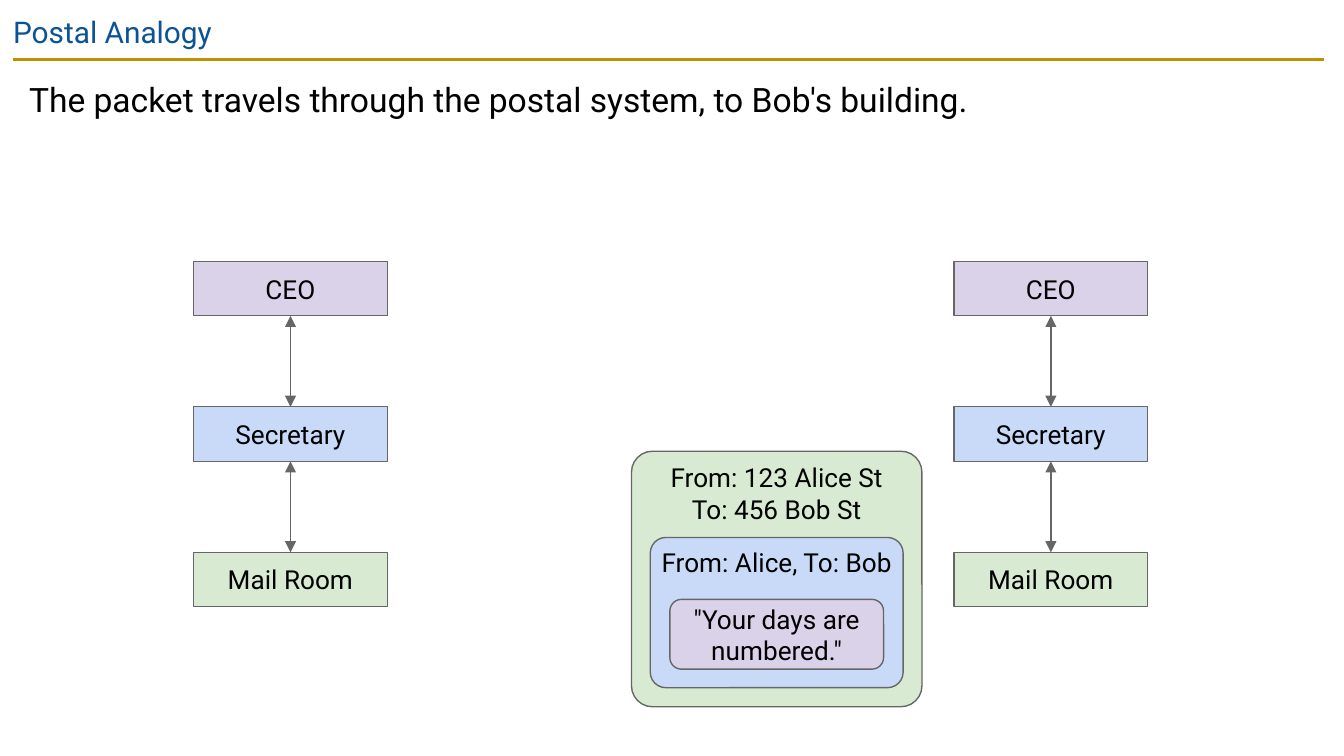
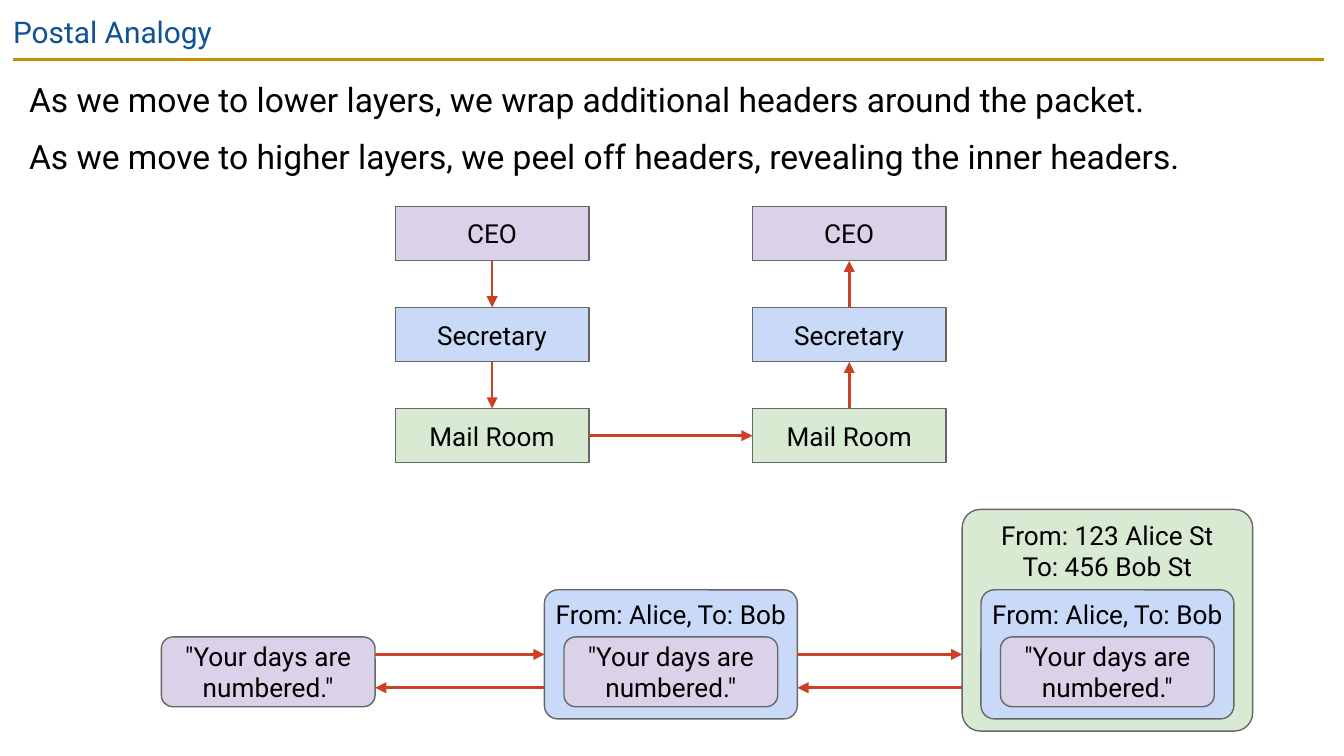
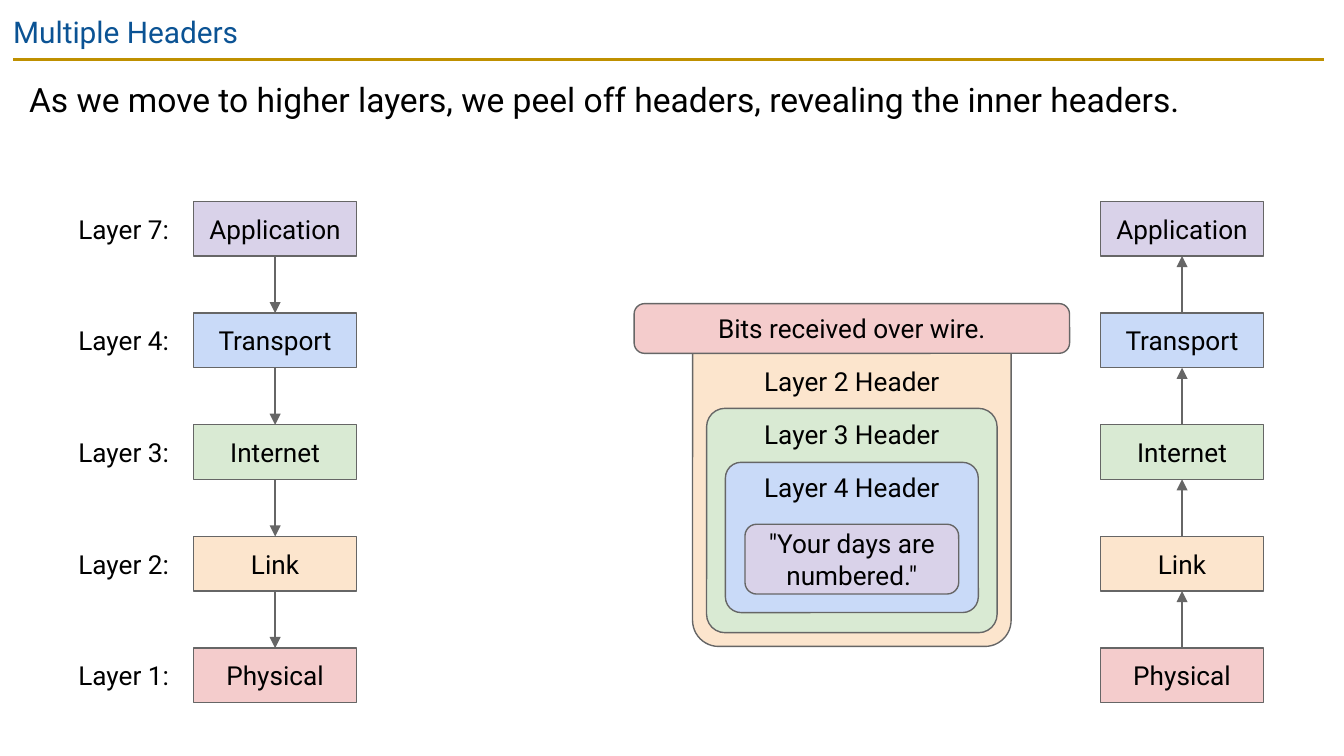
from dataclasses import dataclass
from itertools import pairwise

from lxml.etree import SubElement
from pptx import Presentation
from pptx.dml.color import RGBColor
from pptx.enum.shapes import MSO_CONNECTOR, MSO_SHAPE
from pptx.enum.text import MSO_ANCHOR, MSO_AUTO_SIZE, PP_ALIGN
from pptx.oxml.ns import qn
from pptx.shapes.autoshape import Shape
from pptx.shapes.connector import Connector
from pptx.slide import Slide
from pptx.text.text import TextFrame
from pptx.util import Cm, Pt


@dataclass(frozen=True)
class Theme:
    font: str = "Roboto"
    head: float = 16
    body: float = 18
    label: float = 14
    thin: float = 0.75
    thick: float = 1.5
    pad: float = 0.25
    tight: float = 0.08
    ink: str = "000000"
    blue: str = "0B5394"
    gold: str = "BF9000"
    grey: str = "666666"
    red: str = "CC4125"
    violet: str = "D9D2E9"
    sky: str = "C9DAF8"
    green: str = "D9EAD3"
    peach: str = "FCE5CD"
    rose: str = "F4CCCC"


THEME = Theme()


@dataclass(frozen=True)
class Layer:
    name: str
    fill: str
    label: str = ""


@dataclass(frozen=True)
class Tower:
    left: float
    top: float
    width: float
    step: float
    layers: tuple[Layer, ...]
    down: bool
    up: bool
    color: str = THEME.grey
    weight: float = THEME.thin


@dataclass(frozen=True)
class Wrap:
    text: str
    fill: str
    top: float
    width: float
    height: float
    round: float
    inset: float = THEME.tight
    start: float = THEME.tight
    anchor: MSO_ANCHOR = MSO_ANCHOR.TOP


BOX_HIGH = 1.03
POST = (
    Layer("CEO", THEME.violet),
    Layer("Secretary", THEME.sky),
    Layer("Mail Room", THEME.green),
)
STACK = (
    Layer("Application", THEME.violet, "Layer 7:"),
    Layer("Transport", THEME.sky, "Layer 4:"),
    Layer("Internet", THEME.green, "Layer 3:"),
    Layer("Link", THEME.peach, "Layer 2:"),
    Layer("Physical", THEME.rose, "Layer 1:"),
)
PEEL = "As we move to higher layers, we peel off headers, revealing the inner headers."
STREET = "From: 123 Alice St\nTo: 456 Bob St"
NAMES = "From: Alice, To: Bob"


def letter(top: float) -> Wrap:
    return Wrap('"Your days are numbered."', THEME.violet, top, 4.04, 1.32, 0.167,
                THEME.pad, THEME.pad, MSO_ANCHOR.MIDDLE)


def inner(text: str, top: float, height: float) -> Wrap:
    return Wrap(text, THEME.sky, top, 4.78, height, 0.104)


def outer(text: str, top: float, height: float) -> Wrap:
    return Wrap(text, THEME.green, top, 5.49, height, 0.082)


def write(frame: TextFrame, text: str, size: float, color: str = THEME.ink,
          inset: float = THEME.pad, align: PP_ALIGN = PP_ALIGN.LEFT) -> None:
    frame.word_wrap = True
    frame.margin_left = frame.margin_right = Cm(inset)
    frame.margin_top = frame.margin_bottom = Cm(inset)
    frame.text = text
    for para in frame.paragraphs:
        para.alignment = align
        para.font.name = THEME.font
        para.font.size = Pt(size)
        para.font.color.rgb = RGBColor.from_string(color)


def add_text(slide: Slide, left: float, top: float, width: float, height: float,
             text: str, size: float, color: str = THEME.ink,
             inset: float = THEME.pad) -> TextFrame:
    frame = slide.shapes.add_textbox(Cm(left), Cm(top), Cm(width), Cm(height)).text_frame
    write(frame, text, size, color, inset)
    return frame


def add_box(slide: Slide, kind: MSO_SHAPE, left: float, top: float, width: float,
            height: float, fill: str, text: str, inset: float = THEME.pad,
            anchor: MSO_ANCHOR = MSO_ANCHOR.MIDDLE) -> Shape:
    box = slide.shapes.add_shape(kind, Cm(left), Cm(top), Cm(width), Cm(height))
    box.shadow.inherit = False
    box.fill.solid()
    box.fill.fore_color.rgb = RGBColor.from_string(fill)
    box.line.color.rgb = RGBColor.from_string(THEME.grey)
    box.line.width = Pt(THEME.thin)
    write(box.text_frame, text, THEME.label, inset=inset, align=PP_ALIGN.CENTER)
    box.text_frame.vertical_anchor = anchor
    return box


def add_line(slide: Slide, x1: float, y1: float, x2: float, y2: float, color: str,
             weight: float, head: bool = False, tail: bool = False) -> Connector:
    line = slide.shapes.add_connector(
        MSO_CONNECTOR.STRAIGHT, Cm(x1), Cm(y1), Cm(x2), Cm(y2))
    line.line.color.rgb = RGBColor.from_string(color)
    line.line.width = Pt(weight)
    props = line.element.spPr
    for tag, shown in (("a:headEnd", head), ("a:tailEnd", tail)):
        if shown:
            SubElement(props.find(qn("a:ln")), qn(tag), type="triangle")
    SubElement(props, qn("a:effectLst"))
    return line


def join(slide: Slide, first: Shape, side1: int, last: Shape, side2: int, color: str,
         weight: float, head: bool = False, tail: bool = False) -> None:
    line = add_line(slide, 0, 0, 0, 0, color, weight, head, tail)
    line.begin_connect(first, side1)
    line.end_connect(last, side2)


def add_tower(slide: Slide, tower: Tower) -> list[Shape]:
    boxes = []
    for row, layer in enumerate(tower.layers):
        top = tower.top + row * tower.step
        boxes.append(add_box(slide, MSO_SHAPE.RECTANGLE, tower.left, top, tower.width,
                             BOX_HIGH, layer.fill, layer.name))
    for upper, lower in pairwise(boxes):
        join(slide, upper, 2, lower, 0, tower.color, tower.weight, tower.up, tower.down)
    return boxes


def add_labels(slide: Slide, tower: Tower) -> None:
    for row, layer in enumerate(tower.layers):
        top = tower.top + row * tower.step + 0.14
        frame = add_text(slide, 1.4, top, 2.06, 0.76, layer.label, THEME.label,
                         inset=THEME.tight)
        frame.auto_size = MSO_AUTO_SIZE.SHAPE_TO_FIT_TEXT


def add_packet(slide: Slide, center: float, *wraps: Wrap) -> None:
    for wrap in wraps:
        box = add_box(slide, MSO_SHAPE.ROUNDED_RECTANGLE, center - wrap.width / 2,
                      wrap.top, wrap.width, wrap.height, wrap.fill, wrap.text,
                      wrap.inset, wrap.anchor)
        box.adjustments[0] = wrap.round
        box.text_frame.margin_top = Cm(wrap.start)


def start_slide(deck: Presentation, title: str, body: str, height: float) -> Slide:
    slide = deck.slides.add_slide(deck.slide_layouts[6])
    add_line(slide, 0.25, 1.12, 25.02, 1.12, THEME.gold, THEME.thick)
    add_text(slide, 0, 0, 25.4, 1.09, title, THEME.head, THEME.blue)
    frame = add_text(slide, 0.3, 1.12, 24.74, height, body, THEME.body)
    for para in frame.paragraphs:
        para.line_spacing = 1.15
        para.space_before = Pt(6)
    return slide


def draw_travel(deck: Presentation) -> None:
    slide = start_slide(deck, "Postal Analogy",
                        "The packet travels through the postal system, to Bob's building.",
                        3.07)
    for left in (3.66, 18.03):
        add_tower(slide, Tower(left, 4.94, 3.66, 2.75, POST, down=True, up=True))
    add_packet(slide, 14.68, outer(STREET, 8.53, 4.83), inner(NAMES, 10.16, 2.84),
               letter(11.33))


def draw_wraps(deck: Presentation) -> None:
    slide = start_slide(
        deck, "Postal Analogy",
        "As we move to lower layers, we wrap additional headers around the packet.\n" + PEEL,
        3.07)
    send, receive = (
        add_tower(slide, Tower(left, 3.9, 3.66, 1.91, POST, down, not down,
                               THEME.red, THEME.thick))
        for left, down in ((7.47, True), (14.22, False)))
    join(slide, send[-1], 3, receive[-1], 1, THEME.red, THEME.thick, tail=True)

    wraps = (outer(STREET, 9.63, 4.19), inner(NAMES, 11.15, 2.44), letter(12.04))
    stages = ((5.07, wraps[2:]), (12.68, wraps[1:]), (20.93, wraps))
    for center, nest in stages:
        add_packet(slide, center, *nest)
    for (mid1, nest1), (mid2, nest2) in pairwise(stages):
        x1 = mid1 + nest1[0].width / 2
        x2 = mid2 - nest2[0].width / 2
        add_line(slide, x1, 12.37, x2, 12.37, THEME.red, THEME.thick, tail=True)
        add_line(slide, x1, 13, x2, 13, THEME.red, THEME.thick, head=True)


def draw_headers(deck: Presentation) -> None:
    slide = start_slide(deck, "Multiple Headers", PEEL, 1.8)
    send = Tower(3.66, 3.81, 3.08, 2.11, STACK, down=True, up=False)
    add_tower(slide, send)
    add_labels(slide, send)
    add_tower(slide, Tower(20.8, 3.81, 3.08, 2.11, STACK, down=False, up=True))
    add_packet(
        slide, 16.1,
        Wrap("Layer 2 Header", THEME.peach, 6.1, 6.02, 6.12, 0.082, start=0.66),
        outer("Layer 3 Header", 7.72, 4.24),
        inner("Layer 4 Header", 8.74, 2.84),
        letter(9.91),
        Wrap("Bits received over wire.", THEME.rose, 5.74, 8.23, 0.94, 0.21,
             anchor=MSO_ANCHOR.MIDDLE))


def main() -> None:
    deck = Presentation()
    deck.slide_width = Cm(25.4)
    deck.slide_height = Cm(14.29)
    for draw in (draw_travel, draw_wraps, draw_headers):
        draw(deck)
    deck.save("out.pptx")


if __name__ == "__main__":
    main()
